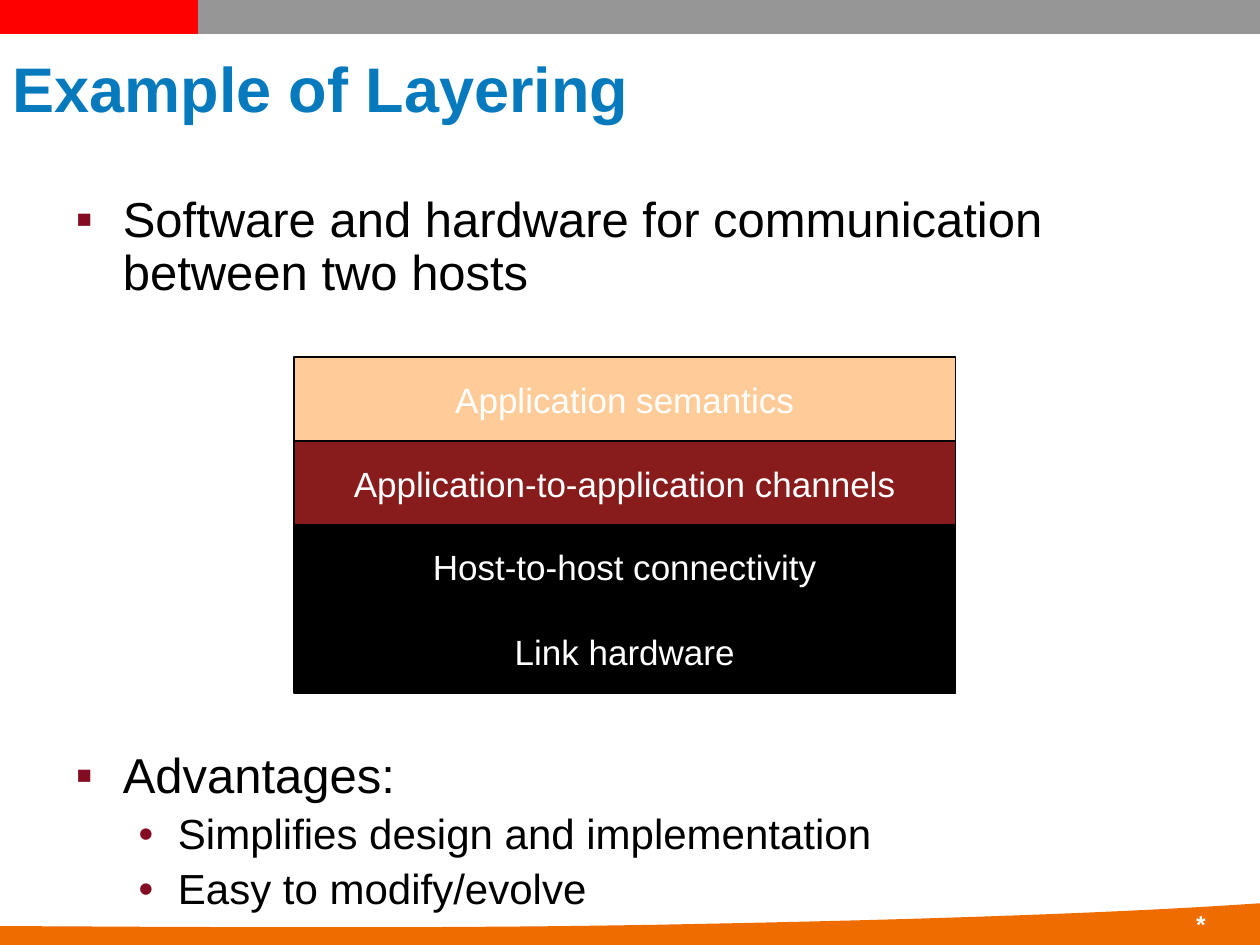
from lxml import etree
from pptx import Presentation
from pptx.dml.color import RGBColor
from pptx.enum.shapes import MSO_CONNECTOR, MSO_SHAPE
from pptx.enum.text import MSO_ANCHOR, MSO_AUTO_SIZE, PP_ALIGN
from pptx.oxml.ns import qn
from pptx.util import Pt

STRAIGHT, RECT = MSO_CONNECTOR.STRAIGHT, MSO_SHAPE.RECTANGLE
MIDDLE, TOP = MSO_ANCHOR.MIDDLE, MSO_ANCHOR.TOP
LEFT, CENTER, RIGHT = PP_ALIGN.LEFT, PP_ALIGN.CENTER, PP_ALIGN.RIGHT
NO_FIT = MSO_AUTO_SIZE.NONE

# Content
TITLE = "Example of Layering"
BULLETS = [  # text, level, space before
    ("Software and hardware for communication between two hosts", 0, 6),
    ("Advantages:", 0, 257),
    ("Simplifies design and implementation", 1, 5.5),
    ("Easy to modify/evolve", 1, 5.5),
]
LAYERS = [  # top to bottom: text, fill
    ("Application semantics", "FFCC99"),
    ("Application-to-application channels", "881C1C"),
    ("Host-to-host connectivity", "000000"),
    ("Link hardware", "000000"),
]
FOOTER_MARK = "*"
BARS = [(720, "969696"), (113, "FF0000")]  # right end, colour
WAVE = [  # two cubic curves along the top of the footer band
    [(0, 529.2), (126.7, 529.9), (253.4, 530.6), (373.7, 528.5)],
    [(373.7, 528.5), (493.9, 526.3), (626.4, 522.7), (720, 516.2)],
]

THEME = {
    "font": "Arial", "title": "067ABD", "text": "000000", "light": "FFFFFF",
    "bullet": "840C22", "band": "EE6C00", "line": "000000",
    "title_size": 36, "layer_size": 20, "mark_size": 14,
}
LEVELS = [  # size, left margin, hanging indent, bullet
    dict(size=28, margin=27, hang=27, char="▪"),
    dict(size=24, margin=58.5, hang=22.5, char="•"),
]
WIDTH, HEIGHT = 720, 540
STACK_LEFT, STACK_TOP, STACK_WIDTH, LAYER_HEIGHT = 168, 204, 378, 48


def rgb(value):
    return RGBColor.from_string(value)


def place(sp, *box):
    for name, value in zip(("left", "top", "width", "height"), box):
        setattr(sp, name, Pt(value))


def write(p, text, size, color, bold=False, align=LEFT):
    p.alignment = align
    r = p.add_run()
    r.text = text
    formats = {"name": THEME["font"], "size": Pt(size), "bold": bold}
    for name, value in formats.items():
        setattr(r.font, name, value)
    r.font.color.rgb = rgb(color)


def set_bullet(p, level):
    pPr = p._p.get_or_add_pPr()
    pPr.set("marL", str(Pt(level["margin"])))
    pPr.set("indent", str(-Pt(level["hang"])))
    color = etree.SubElement(pPr, qn("a:buClr"))
    etree.SubElement(color, qn("a:srgbClr"), val=THEME["bullet"])
    etree.SubElement(pPr, qn("a:buFont"), typeface=THEME["font"])
    etree.SubElement(pPr, qn("a:buChar"), char=level["char"])


def curve_points(curve, steps=16):
    for i in range(steps + 1):
        t = i / steps
        weights = ((1 - t) ** 3, 3 * t * (1 - t) ** 2, 3 * t * t * (1 - t), t ** 3)
        yield tuple(Pt(sum(w * pt[axis] for w, pt in zip(weights, curve)))
                    for axis in (0, 1))


prs = Presentation()
prs.slide_width, prs.slide_height = Pt(WIDTH), Pt(HEIGHT)
s = prs.slides.add_slide(prs.slide_layouts[1])
title, body = s.placeholders

# Header bars
for right, color in BARS:
    bar = s.shapes.add_connector(STRAIGHT, 0, Pt(9.5), Pt(right), Pt(9.5))
    bar.line.width = Pt(20)
    bar.line.color.rgb = rgb(color)
    etree.SubElement(bar._element.spPr, qn("a:effectLst"))

# Footer band and mark
points = [pt for curve in WAVE for pt in curve_points(curve)]
outline = s.shapes.build_freeform(*points[0])
outline.add_line_segments(points[1:] + [(Pt(WIDTH), Pt(HEIGHT)), (0, Pt(HEIGHT))])
band = outline.convert_to_shape()
band.shadow.inherit = False
band.fill.solid()
band.fill.fore_color.rgb = rgb(THEME["band"])
band.line.fill.background()

mark = s.shapes.add_textbox(Pt(648), Pt(516), Pt(48), Pt(24))
mark.text_frame.word_wrap = True
p = mark.text_frame.paragraphs[0]
p.space_before = Pt(7)
write(p, FOOTER_MARK, THEME["mark_size"], THEME["light"], True, RIGHT)

# Title
place(title, 0, 23, 702, 53.5)
tf = title.text_frame
tf.auto_size, tf.vertical_anchor = NO_FIT, MIDDLE
write(tf.paragraphs[0], TITLE, THEME["title_size"], THEME["title"], True)

# Bulleted list
place(body, 36, 108, 648, 432)
tf = body.text_frame
tf.auto_size, tf.vertical_anchor = NO_FIT, TOP
for i, (text, depth, before) in enumerate(BULLETS):
    p = tf.add_paragraph() if i else tf.paragraphs[0]
    p.level, p.line_spacing, p.space_before = depth, 0.9, Pt(before)
    write(p, text, LEVELS[depth]["size"], THEME["text"])
    set_bullet(p, LEVELS[depth])

# Stack of layers
for i, (text, color) in enumerate(LAYERS):
    sp = s.shapes.add_shape(RECT, Pt(STACK_LEFT), Pt(STACK_TOP + i * LAYER_HEIGHT),
                            Pt(STACK_WIDTH), Pt(LAYER_HEIGHT))
    sp.shadow.inherit = False
    sp.fill.solid()
    sp.fill.fore_color.rgb = rgb(color)
    sp.line.color.rgb = rgb(THEME["line"])
    sp.line.width = Pt(0.75)
    tf = sp.text_frame
    tf.word_wrap, tf.vertical_anchor = False, MIDDLE
    write(tf.paragraphs[0], text, THEME["layer_size"], THEME["light"], align=CENTER)

prs.save("out.pptx")
